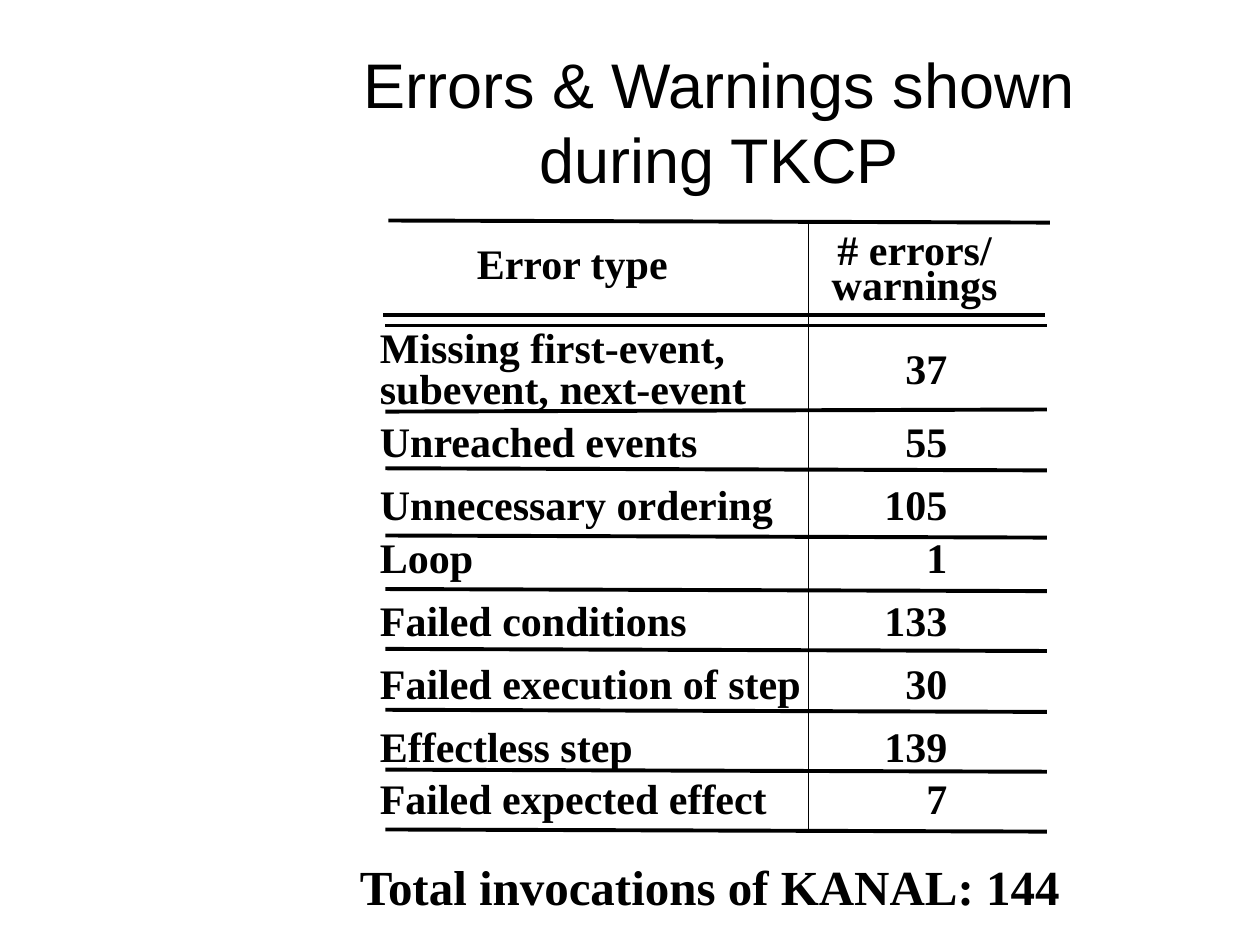
from dataclasses import dataclass
from lxml.etree import SubElement
from pptx import Presentation
from pptx.dml.color import RGBColor
from pptx.enum.shapes import MSO_CONNECTOR
from pptx.enum.text import MSO_ANCHOR, MSO_AUTO_SIZE, PP_ALIGN
from pptx.oxml.ns import qn
from pptx.util import Inches, Pt

TITLE = ["Errors & Warnings shown", "during TKCP"]
TYPE_HEADING = ["Error type "]
COUNT_HEADING = ["# errors/", "warnings"]
TOTAL = ["Total invocations of KANAL: 144"]

# label, count, label width, row top, rule below, rule slant
ROWS = [
    ("Missing first-event, subevent, next-event", "37", 40, 31, 39.2, -0.2),
    ("Unreached events", "55", 33, 39, 44.6, 0.2),
    ("Unnecessary ordering", "105", 40.2, 45, 51, 0.2),
    ("Loop", "1", 11.7, 50, 56.1, 0.2),
    ("Failed conditions", "133", 32, 56, 61.8, 0.2),
    ("Failed execution of step", "30", 42.9, 62, 67.6, 0.2),
    ("Effectless step", "139", 26.9, 68, 73.3, 0.2),
    ("Failed expected effect", "7", 39.6, 73, 79, 0.2),
]


@dataclass(frozen=True)
class Theme:
    ink: RGBColor = RGBColor(0, 0, 0)
    title_font: str = "Arial"
    body_font: str = "Times New Roman"
    title_size: int = 36
    body_size: int = 24
    total_size: int = 28
    rule_width: float = 2.25
    divider_width: float = 1


THEME = Theme()
COLUMNS, GRID_ROWS = 120, 90
LABEL_LEFT, COUNT_LEFT, COUNT_WIDTH, ROW_HEIGHT = 35, 83, 8.4, 6
RULE_LEFT, RULE_WIDTH, DIVIDER = 36.7, 63, 77
TABLE_TOP, HEADER_RULE, BODY_TOP, TABLE_BOTTOM = 21, 30, 31, 79

deck = Presentation()
deck.slide_width, deck.slide_height = Inches(10), Inches(7.5)
page = deck.slides.add_slide(deck.slide_layouts[6])


def across(columns):
    return round(deck.slide_width * columns / COLUMNS)


def down(rows):
    return round(deck.slide_height * rows / GRID_ROWS)


def add_text(paragraphs, left, top, width, height, size=THEME.body_size,
             align=PP_ALIGN.LEFT, spacing=None, wrap=True):
    box = page.shapes.add_textbox(across(left), down(top), across(width), down(height))
    frame = box.text_frame
    frame.word_wrap = wrap
    frame.auto_size = MSO_AUTO_SIZE.SHAPE_TO_FIT_TEXT
    for index, text in enumerate(paragraphs):
        para = frame.paragraphs[0] if index == 0 else frame.add_paragraph()
        para.alignment = align
        para.line_spacing = spacing
        add_span(para, text, THEME.body_font, size, True)


def add_span(para, text, font, size, bold):
    span = para.add_run()
    span.text = text
    span.font.name = font
    span.font.size = Pt(size)
    span.font.bold = bold
    span.font.color.rgb = THEME.ink


def add_title():
    box = page.shapes.add_textbox(across(21), down(4), across(95), down(15))
    frame = box.text_frame
    frame.word_wrap = True
    frame.vertical_anchor = MSO_ANCHOR.MIDDLE
    para = frame.paragraphs[0]
    para.alignment = PP_ALIGN.CENTER
    for index, text in enumerate(TITLE):
        if index:
            para.add_line_break()
        add_span(para, text, THEME.title_font, THEME.title_size, False)


def add_line(left, top, right, bottom, width=THEME.rule_width):
    line = page.shapes.add_connector(MSO_CONNECTOR.STRAIGHT, across(left), down(top),
                                     across(right), down(bottom))
    line.line.color.rgb = THEME.ink
    line.line.width = Pt(width)
    SubElement(line._element.spPr, qn("a:effectLst"))


def add_rule(top, slant=0, shift=0):
    left = RULE_LEFT + shift
    add_line(left, top, left + RULE_WIDTH, top + slant)


add_title()
add_rule(TABLE_TOP, 0.2, 0.3)
add_rule(HEADER_RULE, shift=-0.2)
add_rule(BODY_TOP)
add_line(DIVIDER, TABLE_TOP, DIVIDER, TABLE_BOTTOM, THEME.divider_width)
add_text(TYPE_HEADING, 32, 23, 46, 5, align=PP_ALIGN.CENTER, spacing=0.8)
add_text(COUNT_HEADING, 77.8, 22, 18.6, 7.9, align=PP_ALIGN.CENTER, spacing=0.7, wrap=False)

for index, (label, count, width, top, rule, slant) in enumerate(ROWS):
    tall = index == 0
    add_text([label], LABEL_LEFT, top, width, 8.9 if tall else ROW_HEIGHT,
             spacing=0.8 if tall else None, wrap=tall)
    add_text([count], COUNT_LEFT, top + tall, COUNT_WIDTH, ROW_HEIGHT, align=PP_ALIGN.RIGHT)
    add_rule(rule, slant)

add_text(TOTAL, 33.1, 81, 71, 6.8, size=THEME.total_size, wrap=False)
deck.save("out.pptx")
